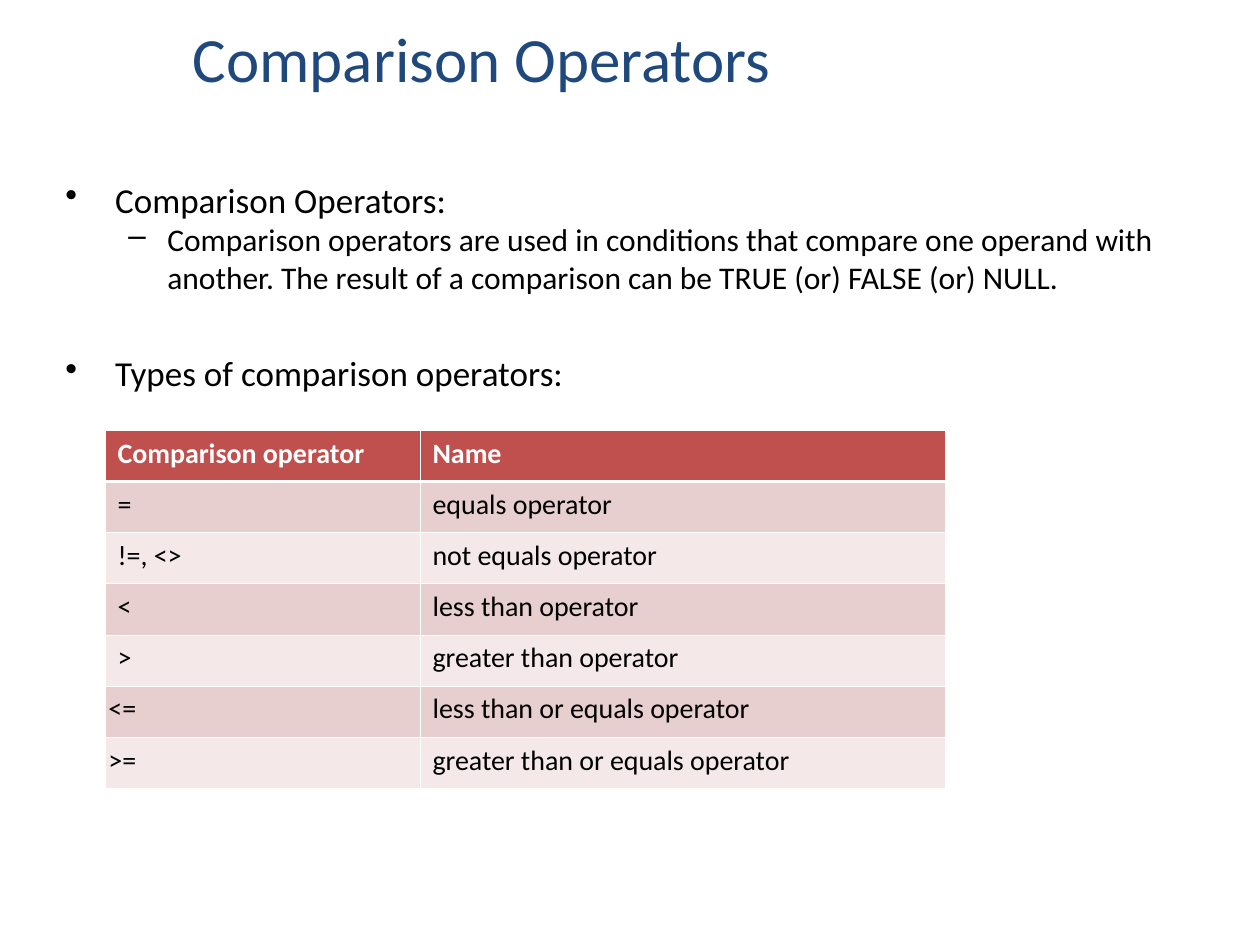
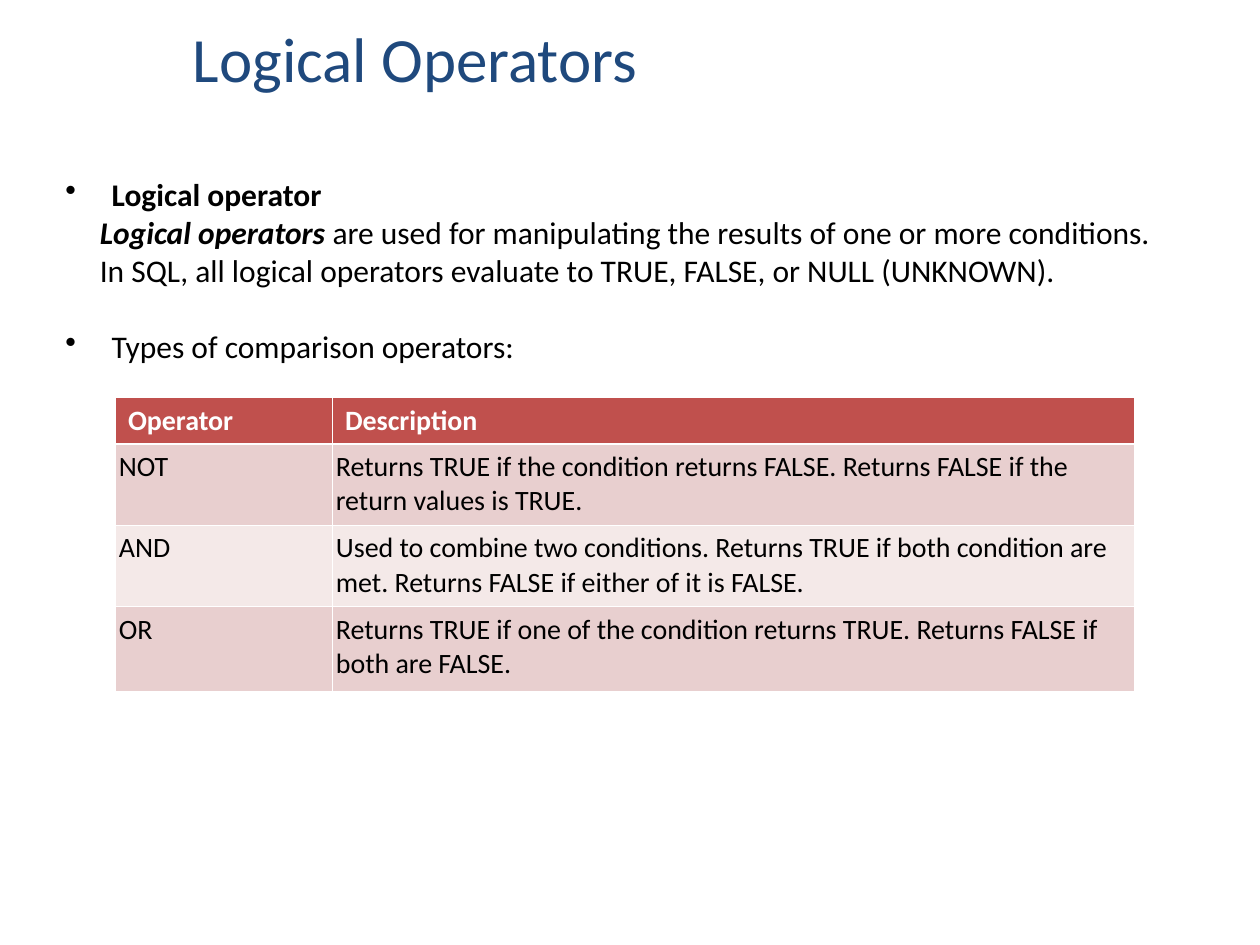
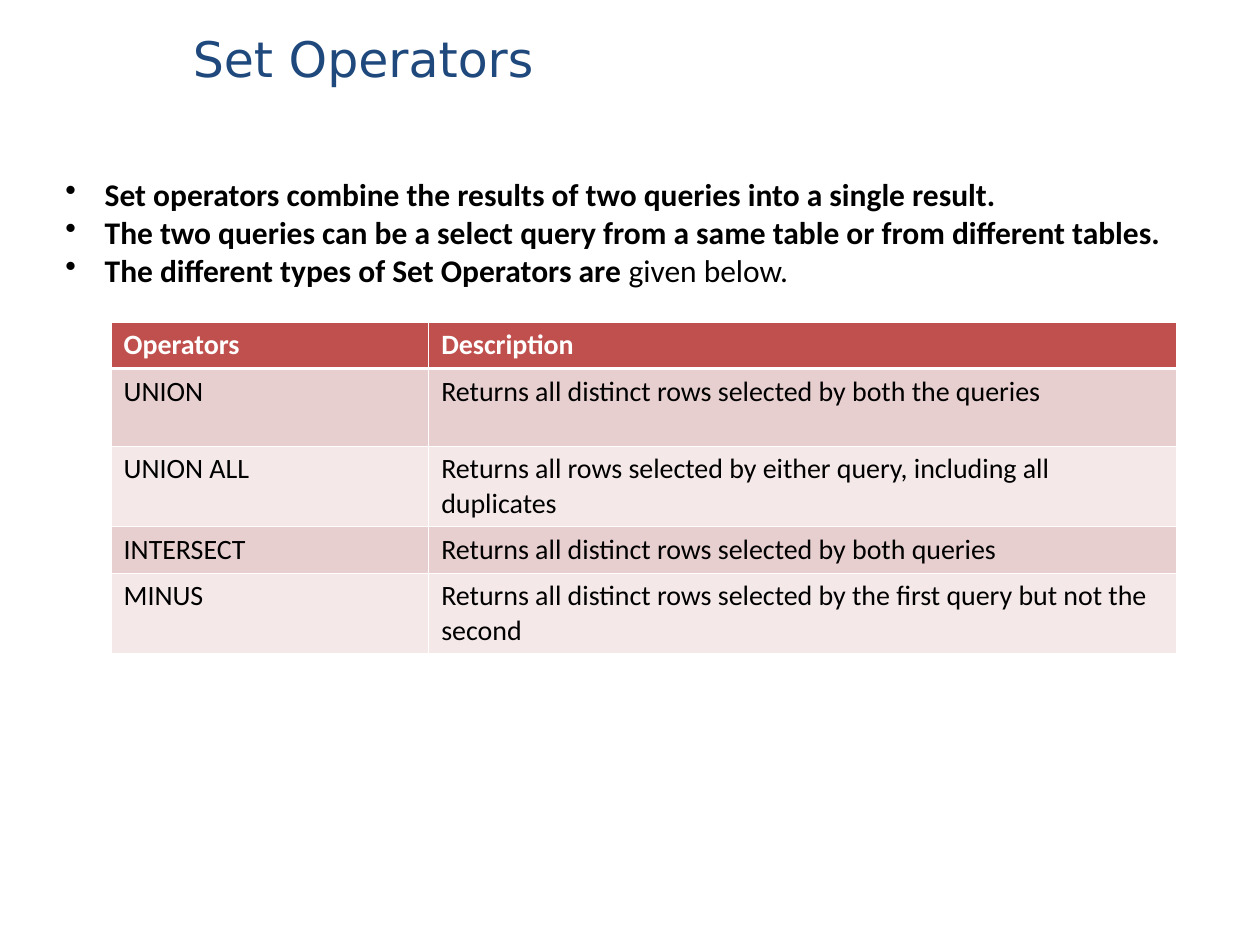
from dataclasses import dataclass
from itertools import product

from lxml.etree import SubElement
from pptx import Presentation
from pptx.dml.color import RGBColor
from pptx.enum.text import MSO_ANCHOR, MSO_AUTO_SIZE, PP_ALIGN
from pptx.oxml.ns import qn
from pptx.slide import Slide
from pptx.table import _Cell as Cell
from pptx.text.text import _Paragraph as Paragraph
from pptx.util import Pt

NAVY = RGBColor(0x1F, 0x49, 0x7D)
BLACK = RGBColor(0x00, 0x00, 0x00)
WHITE = RGBColor(0xFF, 0xFF, 0xFF)
HEADER_RED = RGBColor(0xC0, 0x50, 0x4D)
BANDS = (RGBColor(0xE8, 0xCF, 0xCF), RGBColor(0xF4, 0xE9, 0xE8))

BODY_FONT = "Calibri"
TITLE_ONLY = 5
BODY_LEFT = 30.25
THIN_RULE, HEADER_RULE = 0.45, 1.47
WIDE_INSET, NARROW_INSET = 7.2, 2


@dataclass(frozen=True)
class Span:
    text: str
    bold: bool = False
    italic: bool = False


@dataclass(frozen=True)
class Point:
    spans: tuple[Span, ...]
    indent: float
    hanging: float = 0
    bullet: str = ""
    size: float = 18
    level: int = 0
    line_spacing: float = 1.0
    space_before: float = 0


@dataclass(frozen=True)
class OperatorTable:
    left: float
    top: float
    widths: tuple[float, ...]
    heights: tuple[float, ...]
    rows: tuple[tuple[str, str], ...]
    narrow_cells: frozenset[tuple[int, int]] = frozenset()


@dataclass(frozen=True)
class Topic:
    title: str
    body_box: tuple[float, float, float]  # top, width, height
    points: tuple[Point, ...]
    table: OperatorTable
    title_font: str = BODY_FONT
    title_size: float = 36


def heading(text: str, space_before: float = 0) -> Point:
    return Point((Span(text),), 28.5, 28.5, "•", 20, line_spacing=1.1,
                 space_before=space_before)


def logical_point(text: str, bold: bool = False, space_before: float = 0) -> Point:
    return Point((Span(text, bold),), 26.5, 26.5, "•", space_before=space_before)


def set_point(*spans: Span) -> Point:
    return Point(spans, 22.5, 22.5, "•")


TOPICS = (
    Topic(
        "Comparison Operators",
        (96, 654, 138),
        (
            heading("Comparison Operators:"),
            Point((Span("Comparison operators are used in conditions that compare one "
                        "operand with another. The result of a comparison can be "
                        "TRUE (or) FALSE (or) NULL."),), 58.3, 22.3, "–", level=1),
            heading("Types of comparison operators:", space_before=29.5),
        ),
        OperatorTable(
            60, 246, (180, 300), (29.2,) * 7,
            (
                ("Comparison operator", "Name"),
                ("=", "equals operator"),
                ("!=, <>", "not equals operator"),
                ("<", "less than operator"),
                (">", "greater than operator"),
                ("<=", "less than or equals operator"),
                (">=", "greater than or equals operator"),
            ),
            frozenset({(5, 0), (6, 0)}),
        ),
    ),
    Topic(
        "Logical Operators",
        (96.5, 660, 389.5),
        (
            logical_point("Logical operator", bold=True),
            Point((Span("Logical operators ", bold=True, italic=True),
                   Span("are used for manipulating the results of one or more "
                        "conditions.")), 19.7),
            Point((Span("In SQL, all logical operators evaluate to TRUE, FALSE, "
                        "or NULL (UNKNOWN)."),), 19.7),
            logical_point("Types of comparison operators:", space_before=22),
        ),
        OperatorTable(
            66, 227, (124, 458), (26.6, 46.4, 46.4, 48.9),
            (
                ("Operator", "Description"),
                ("NOT", "Returns TRUE if the condition returns FALSE. Returns FALSE "
                        "if the return values is TRUE."),
                ("AND", "Used to combine two conditions. Returns TRUE if both "
                        "condition are met. Returns FALSE if either of it is FALSE."),
                ("OR", "Returns TRUE if one of the condition returns TRUE. Returns "
                       "FALSE if both are FALSE."),
            ),
            frozenset(product(range(1, 4), range(2))),
        ),
    ),
    Topic(
        "Set Operators",
        (96.5, 666, 98),
        (
            set_point(Span("Set operators combine the results of two queries into a "
                           "single result.", bold=True)),
            set_point(Span("The two queries can be a select query from a same table or "
                           "from different tables.", bold=True)),
            set_point(Span("The different types of Set Operators are ", bold=True),
                      Span("given below.")),
        ),
        OperatorTable(
            63.5, 184, (181.5, 427), (26.6, 44.3, 46, 26.6, 46),
            (
                ("Operators", "Description"),
                ("UNION", "Returns all distinct rows selected by both the queries"),
                ("UNION ALL", "Returns all rows selected by either query, including "
                              "all duplicates"),
                ("INTERSECT", "Returns all distinct rows selected by both queries"),
                ("MINUS", "Returns all distinct rows selected by the first query but "
                          "not the second"),
            ),
        ),
        title_font="DejaVu Sans",
        title_size=28,
    ),
)


def set_font(paragraph: Paragraph, size: float, color: RGBColor,
             name: str = BODY_FONT) -> None:
    font = paragraph.font
    font.name, font.size = name, Pt(size)
    font.color.rgb = color


def write_title(slide: Slide, topic: Topic) -> None:
    title = slide.shapes.title
    title.left, title.top, title.width, title.height = map(Pt, (103, 0, 617, 66))
    frame = title.text_frame
    frame.text = topic.title
    frame.vertical_anchor = MSO_ANCHOR.MIDDLE
    frame.auto_size = MSO_AUTO_SIZE.NONE
    paragraph = frame.paragraphs[0]
    paragraph.alignment = PP_ALIGN.LEFT
    set_font(paragraph, topic.title_size, NAVY, topic.title_font)


def write_point(paragraph: Paragraph, point: Point) -> None:
    properties = paragraph._p.get_or_add_pPr()
    properties.set("marL", str(Pt(point.indent)))
    properties.set("indent", str(-Pt(point.hanging)))
    if point.bullet:
        color = SubElement(properties, qn("a:buClr"))
        SubElement(color, qn("a:srgbClr"), val=str(BLACK))
        SubElement(properties, qn("a:buChar"), char=point.bullet)
    paragraph.level = point.level
    paragraph.line_spacing = point.line_spacing
    if point.space_before:
        paragraph.space_before = Pt(point.space_before)
    set_font(paragraph, point.size, BLACK)
    for span in point.spans:
        run = paragraph.add_run()
        run.text = span.text
        run.font.bold, run.font.italic = span.bold, span.italic


def write_body(slide: Slide, topic: Topic) -> None:
    top, width, height = topic.body_box
    body = slide.shapes.add_textbox(Pt(BODY_LEFT), Pt(top), Pt(width), Pt(height))
    frame = body.text_frame
    frame.word_wrap = True
    for index, point in enumerate(topic.points):
        write_point(frame.add_paragraph() if index else frame.paragraphs[0], point)


def rule_cell(cell: Cell, row: int) -> None:
    """Draw white borders, heavier between the header and the first row."""
    heavy_side = {0: "lnB", 1: "lnT"}.get(row)
    properties = cell._tc.get_or_add_tcPr()
    for side in ("lnL", "lnR", "lnT", "lnB"):
        width = HEADER_RULE if side == heavy_side else THIN_RULE
        line = SubElement(properties, qn(f"a:{side}"), w=str(Pt(width)))
        fill = SubElement(line, qn("a:solidFill"))
        SubElement(fill, qn("a:srgbClr"), val=str(WHITE))


def draw_table(slide: Slide, spec_table: OperatorTable) -> None:
    grid = slide.shapes.add_table(
        len(spec_table.rows), len(spec_table.widths),
        Pt(spec_table.left), Pt(spec_table.top),
        Pt(sum(spec_table.widths)), Pt(sum(spec_table.heights))).table
    grid.horz_banding = False
    for column, width in zip(grid.columns, spec_table.widths):
        column.width = Pt(width)
    for grid_row, height in zip(grid.rows, spec_table.heights):
        grid_row.height = Pt(height)
    for row, texts in enumerate(spec_table.rows):
        is_header = row == 0
        for column, text in enumerate(texts):
            cell = grid.cell(row, column)
            cell.text = text
            narrow = (row, column) in spec_table.narrow_cells
            cell.margin_left = cell.margin_right = Pt(
                NARROW_INSET if narrow else WIDE_INSET)
            cell.margin_top = cell.margin_bottom = Pt(3.6)
            rule_cell(cell, row)
            cell.fill.solid()
            cell.fill.fore_color.rgb = HEADER_RED if is_header else BANDS[(row - 1) % 2]
            paragraph = cell.text_frame.paragraphs[0]
            set_font(paragraph, 16, WHITE if is_header else BLACK)
            paragraph.font.bold = is_header


def main() -> None:
    deck = Presentation()
    deck.slide_width, deck.slide_height = Pt(720), Pt(540)
    for topic in TOPICS:
        slide = deck.slides.add_slide(deck.slide_layouts[TITLE_ONLY])
        write_title(slide, topic)
        write_body(slide, topic)
        draw_table(slide, topic.table)
    deck.save("out.pptx")


if __name__ == "__main__":
    main()
